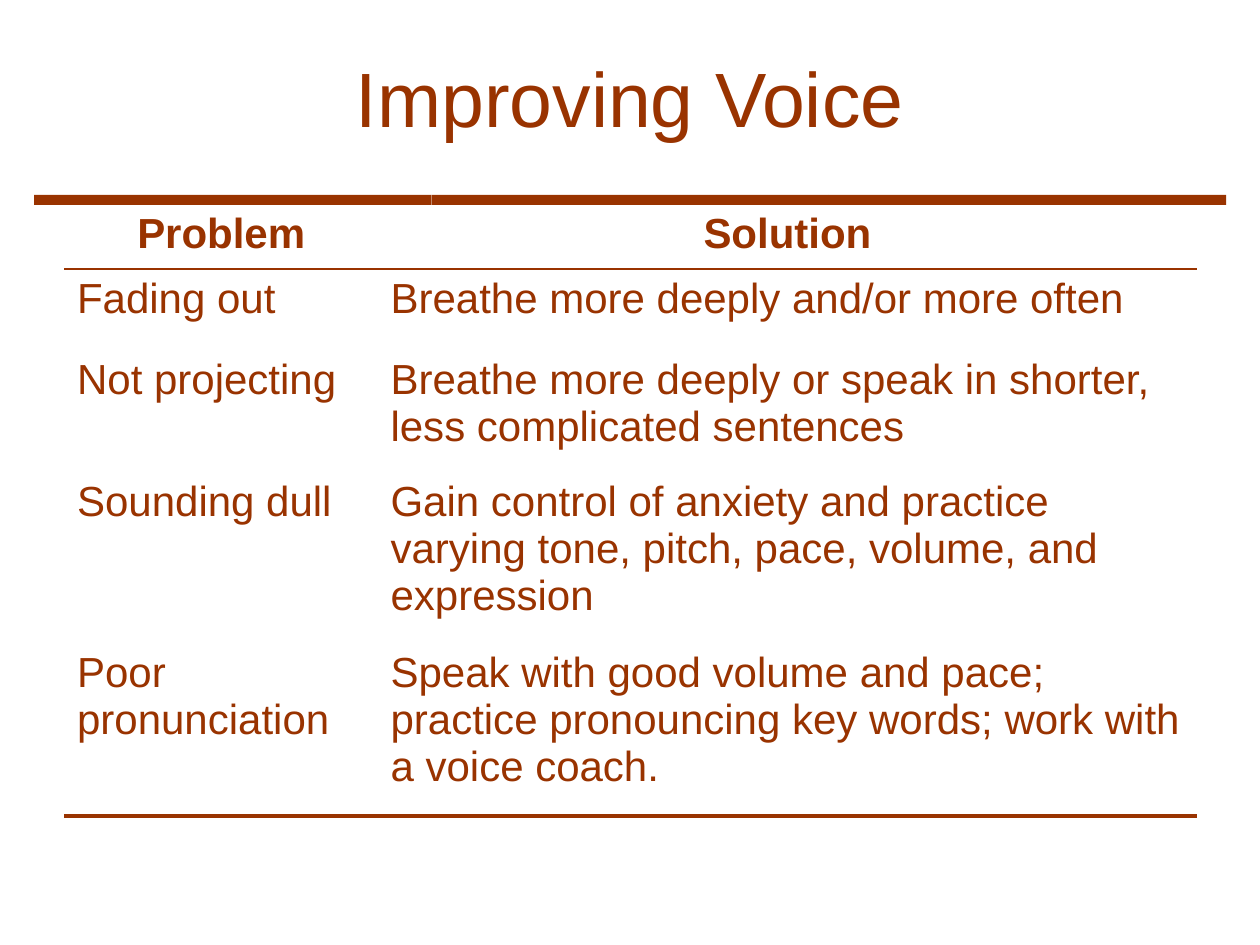
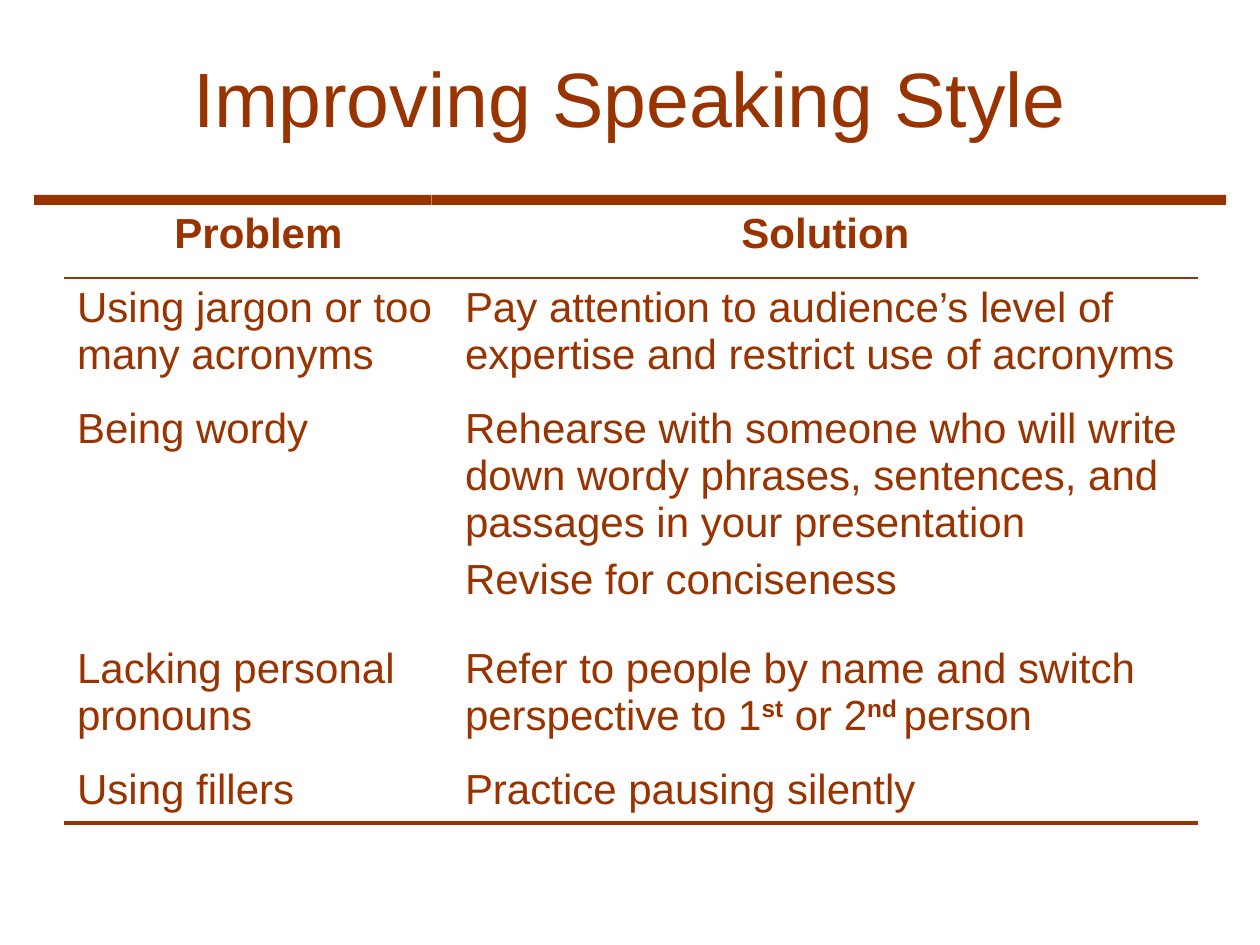
"""Build two problem-and-solution slides about speaking well."""
from dataclasses import dataclass

from lxml import etree
from pptx import Presentation
from pptx import util as u
from pptx.dml.color import RGBColor
from pptx.enum import shapes, text
from pptx.oxml.ns import qn

RUST = RGBColor(0x99, 0x33, 0x00)
FONT = "Arial"
TITLE_ONLY = 5
NO_STYLE_NO_GRID = "{2D5ABB26-0587-4C30-8999-92F81FD0307C}"
HEADINGS = ("Problem", "Solution")
BAND_SEGMENTS = 3
BAND_SEGMENT_WIDTH = u.Cm(8.01)
HEADER_RULE = u.Pt(1.47)
CLOSING_RULE = u.Pt(3)


@dataclass(frozen=True)
class Advice:
    """One table row; carets enclose superscripts, newlines split paragraphs."""
    problem: str
    solution: str
    height: float


@dataclass(frozen=True)
class Topic:
    """One slide: its title, column widths, header height and advice, in cm."""
    title: str
    column_widths: tuple[float, float]
    header_height: float
    advice: tuple[Advice, ...]


TOPICS = (
    Topic("Improving Voice", (6.32, 16.51), 1.32, (
        Advice("Fading out", "Breathe more deeply and/or more often", 1.63),
        Advice("Not projecting",
               "Breathe more deeply or speak in shorter, less complicated sentences", 2.46),
        Advice("Sounding dull",
               "Gain control of anxiety and practice varying tone, pitch, pace, "
               "volume, and expression", 3.45),
        Advice("Poor pronunciation",
               "Speak with good volume and pace; practice pronouncing key words; "
               "work with a voice coach.", 3.48),
    )),
    Topic("Improving Speaking Style", (7.82, 15.04), 1.5, (
        Advice("Using jargon or too many acronyms",
               "Pay attention to audience’s level of expertise and restrict use of acronyms",
               2.44),
        Advice("Being wordy",
               "Rehearse with someone who will write down wordy phrases, sentences, "
               "and passages in your presentation\nRevise for conciseness", 4.83),
        Advice("Lacking personal pronouns",
               "Refer to people by name and switch perspective to 1^st^ or 2^nd ^person",
               2.44),
        Advice("Using fillers", "Practice pausing silently", 1.27),
    )),
)


def style_paragraph(paragraph, size: int, bold: bool = False, centred: bool = False) -> None:
    """Apply the shared typeface and colour to a paragraph."""
    paragraph.alignment = text.PP_ALIGN.CENTER if centred else text.PP_ALIGN.LEFT
    paragraph.font.name = FONT
    paragraph.font.size = u.Pt(size)
    paragraph.font.bold = bold
    paragraph.font.color.rgb = RUST


def set_title(slide, wording: str) -> None:
    """Place and format the slide title."""
    title = slide.shapes.title
    title.left, title.top = u.Cm(1.27), u.Cm(0.76)
    title.width, title.height = u.Cm(22.86), u.Cm(2.36)
    title.text_frame.text = wording
    title.text_frame.vertical_anchor = text.MSO_ANCHOR.MIDDLE
    style_paragraph(title.text_frame.paragraphs[0], 44, centred=True)


def add_band(slide) -> None:
    """Draw the segmented band below the title."""
    for position in range(BAND_SEGMENTS):
        segment = slide.shapes.add_shape(
            shapes.MSO_SHAPE.RECTANGLE, u.Cm(0.69) + position * BAND_SEGMENT_WIDTH,
            u.Cm(3.93), BAND_SEGMENT_WIDTH, u.Cm(0.2))
        segment.shadow.inherit = False
        segment.fill.solid()
        segment.fill.fore_color.rgb = RUST
        segment.line.fill.background()


def rule_below(cell, width: int) -> None:
    """Draw a solid rule along the bottom of a cell."""
    rule = etree.Element(qn("a:lnB"), w=str(int(width)))
    ink = etree.SubElement(rule, qn("a:solidFill"))
    etree.SubElement(ink, qn("a:srgbClr"), val=str(RUST))
    cell._tc.get_or_add_tcPr().insert(0, rule)


def fill_cell(cell, wording: str, heading: bool) -> None:
    """Write the paragraphs of a cell, raising the parts between carets."""
    cell.fill.background()
    for number, line in enumerate(wording.split("\n")):
        frame = cell.text_frame
        paragraph = frame.add_paragraph() if number else frame.paragraphs[0]
        paragraph.space_before = u.Pt(6)
        style_paragraph(paragraph, 24, bold=heading, centred=heading)
        for part, words in enumerate(line.split("^")):
            run = paragraph.add_run()
            run.text = words
            if part % 2:
                run.font.bold = True
                run._r.get_or_add_rPr().set("baseline", "30000")


def add_advice_table(slide, topic: Topic) -> None:
    """Add the table of problems and solutions."""
    rows = [HEADINGS, *((item.problem, item.solution) for item in topic.advice)]
    heights = [topic.header_height, *(item.height for item in topic.advice)]
    frame = slide.shapes.add_table(
        len(rows), len(HEADINGS), u.Cm(1.3), u.Cm(4.11),
        u.Cm(sum(topic.column_widths)), u.Cm(sum(heights)))
    frame.element.find(".//" + qn("a:tableStyleId")).text = NO_STYLE_NO_GRID
    table = frame.table
    table.horz_banding = False
    for column, width in zip(table.columns, topic.column_widths):
        column.width = u.Cm(width)
    rules = {0: HEADER_RULE, len(rows) - 1: CLOSING_RULE}
    for index, (row, height, wordings) in enumerate(zip(table.rows, heights, rows)):
        row.height = u.Cm(height)
        for cell, wording in zip(row.cells, wordings):
            fill_cell(cell, wording, heading=index == 0)
            if index in rules:
                rule_below(cell, rules[index])


def main() -> None:
    """Build and save the presentation."""
    deck = Presentation()
    deck.slide_width, deck.slide_height = u.Cm(25.4), u.Cm(19.05)
    for topic in TOPICS:
        slide = deck.slides.add_slide(deck.slide_layouts[TITLE_ONLY])
        add_band(slide)
        set_title(slide, topic.title)
        add_advice_table(slide, topic)
    deck.save("out.pptx")


if __name__ == "__main__":
    main()
